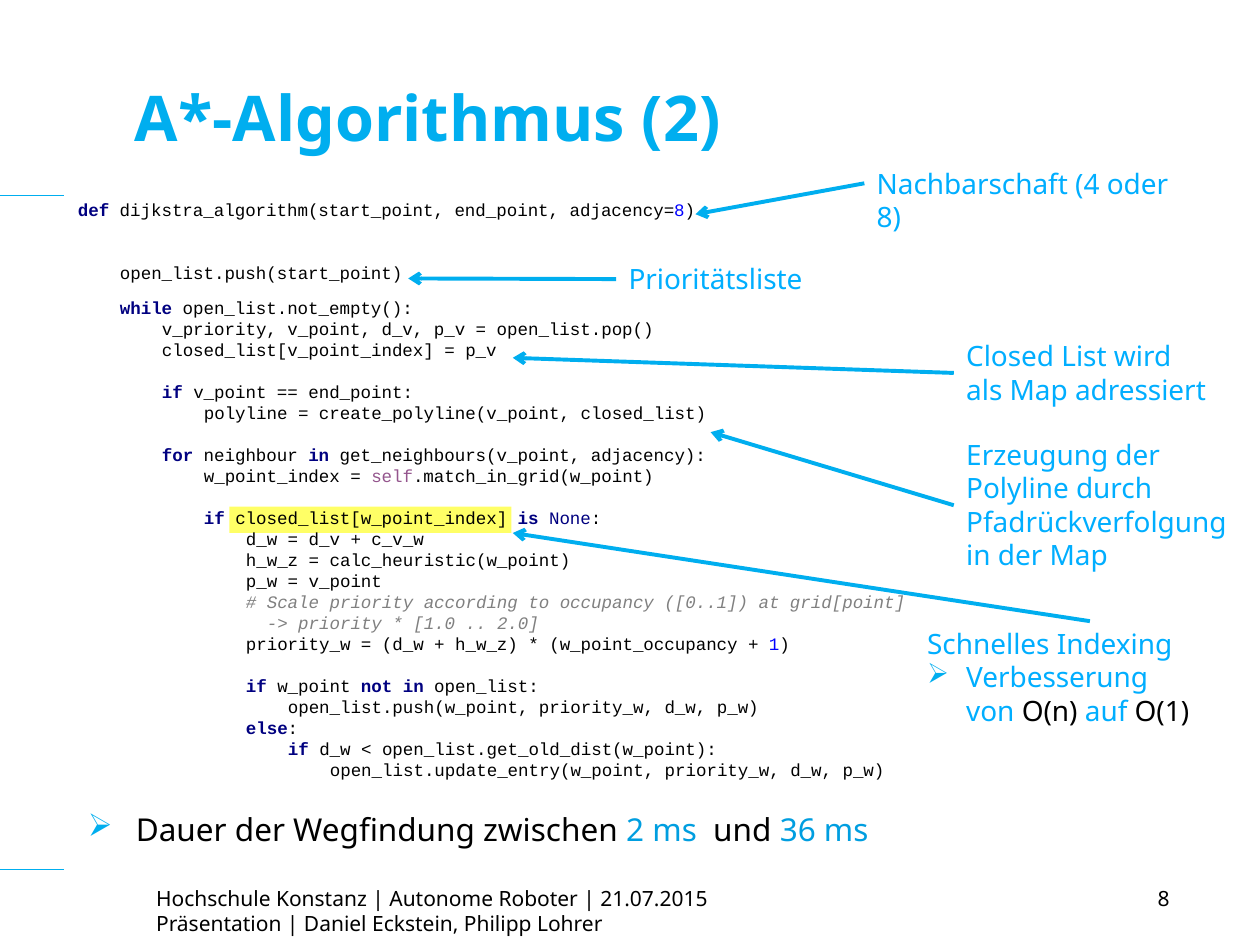
from lxml.etree import SubElement
from pptx import Presentation
from pptx.dml.color import RGBColor
from pptx.enum.shapes import MSO_CONNECTOR as Line, MSO_SHAPE as Preset
from pptx.enum.text import MSO_ANCHOR as Anchor, PP_ALIGN as Align
from pptx.oxml.ns import qn
from pptx.util import Inches, Pt

COLOURS = {
    "accent": "00AEEF", "callout": "00AEFF", "value": "009EE0",
    "text": "000000", "marker": "FFFF66", "keyword": "000080",
    "number": "0000FF", "self": "94558D", "comment": "808080",
}
# Marked text: `kword` sets "word" in the style of the letter k.
MARKS = {
    "k": ("keyword", True, False), "c": ("keyword", False, False),
    "n": ("number", False, False), "s": ("self", False, False),
    "r": ("comment", False, True), "v": ("value", False, False),
    "t": ("text", False, False),
}
GRID = 0.1  # inches per column and per row
CODE_SIZE = 10
CODE_PITCH = 12
INDENT = 4 * 0.6 * CODE_SIZE / 72  # four monospaced characters

# Indent level, space before in points, marked text
CODE = [
    (0, 0, "`kdef `dijkstra_algorithm(start_point, end_point, adjacency=`n8`)"),
    (1, 24, "open_list.push(start_point)"),
    (1, 8, "`kwhile `open_list.not_empty():"),
    (2, 0, "v_priority, v_point, d_v, p_v = open_list.pop()"),
    (2, 0, "closed_list[v_point_index] = p_v"),
    (2, 12, "`kif `v_point == end_point:"),
    (3, 0, "polyline = create_polyline(v_point, closed_list)"),
    (2, 12, "`kfor `neighbour `kin `get_neighbours(v_point, adjacency):"),
    (3, 0, "w_point_index = `sself`.match_in_grid(w_point)"),
    (3, 12, "`kif `closed_list[w_point_index] `kis ``cNone`:"),
    (4, 0, "d_w = d_v + c_v_w"),
    (4, 0, "h_w_z = calc_heuristic(w_point)"),
    (4, 0, "p_w = v_point"),
    (4, 0, "`r# Scale priority according to occupancy ([0..1]) at grid[point]`"),
    (4.5, 0, "`r-> priority * [1.0 .. 2.0]`"),
    (4, 0, "priority_w = (d_w + h_w_z) * (w_point_occupancy + `n1`)"),
    (4, 12, "`kif `w_point `knot in `open_list:"),
    (5, 0, "open_list.push(w_point, priority_w, d_w, p_w)"),
    (4, 0, "`kelse`:"),
    (5, 0, "`kif `d_w < open_list.get_old_dist(w_point):"),
    (6, 0, "open_list.update_entry(w_point, priority_w, d_w, p_w)"),
]

# Text, box (column, row, width, height), arrow target
CALLOUTS = [
    ("Nachbarschaft (4 oder 8)", (68.6, 12.7, 27.2, 3.7), (55.2, 17)),
    ("Prioritätsliste", (48.9, 20.3, 21.7, 3.7), (32.4, 22.1)),
    ("Closed List wird als Map adressiert", (75.7, 26.4, 21.7, 6.4), (40.7, 28.4)),
    ("Erzeugung der Polyline durch Pfadrückverfolgung in der Map",
     (75.7, 34.2, 23.2, 11.8), (56.4, 34.3)),
]


def cells(*counts):
    return [Inches(count * GRID) for count in counts]


def rgb(name):
    return RGBColor.from_string(COLOURS[name])


class SlideBuilder:
    font = "Noto Sans"
    code_font = "Courier New"

    def __init__(self, slide):
        self.slide = slide

    def text(self, box, lines, size, colour="text", bold=False, align=None,
             anchor=Anchor.TOP, font=None):
        """Add a text box with one paragraph for each marked line."""
        area = self.slide.shapes.add_textbox(*cells(*box))
        frame = area.text_frame
        frame.word_wrap = True
        frame.vertical_anchor = anchor
        for number, line in enumerate(lines):
            paragraph = frame.add_paragraph() if number else frame.paragraphs[0]
            paragraph.alignment = align
            for position, part in enumerate(line.split("`")):
                if not part:
                    continue
                style = (colour, bold, False)
                if position % 2:
                    style, part = MARKS[part[0]], part[1:]
                run = paragraph.add_run()
                run.text = part
                run.font.name = font or self.font
                run.font.size = Pt(size)
                run.font.color.rgb = rgb(style[0])
                run.font.bold, run.font.italic = style[1:]
        return area

    def code(self, box, listing):
        area = self.text(box, [line for _, _, line in listing], CODE_SIZE,
                         font=self.code_font)
        for paragraph, (level, before, _) in zip(area.text_frame.paragraphs, listing):
            paragraph.line_spacing = Pt(CODE_PITCH)
            paragraph.space_before = Pt(before)
            properties = paragraph._p.get_or_add_pPr()
            properties.set("marL", str(Inches(level * INDENT)))
            properties.set("indent", "0")

    def bullet(self, paragraph, hang):
        properties = paragraph._p.get_or_add_pPr()
        properties.set("marL", str(Inches(hang)))
        properties.set("indent", str(-Inches(hang)))
        tint = SubElement(properties, qn("a:buClr"))
        SubElement(tint, qn("a:srgbClr"), val=COLOURS["accent"])
        SubElement(properties, qn("a:buChar"), char="➢")

    def rule(self, start, end, width):
        rule = self.slide.shapes.add_connector(Line.STRAIGHT, *cells(*start, *end))
        rule.line.color.rgb = rgb("accent")
        rule.line.width = Pt(width)
        SubElement(rule._element.spPr, qn("a:effectLst"))
        return rule

    def arrow(self, start, end):
        arrow = self.rule(start, end, 2.25)
        SubElement(arrow.line._get_or_add_ln(), qn("a:tailEnd"), type="arrow")
        return arrow

    def marker(self, box):
        marker = self.slide.shapes.add_shape(Preset.RECTANGLE, *cells(*box))
        marker.shadow.inherit = False
        marker.fill.solid()
        marker.fill.fore_color.rgb = rgb("marker")
        marker.line.fill.background()

    def callout(self, words, box, target):
        left, top, _, height = box
        note = self.text(box, [words], 16, "callout")
        self.arrow((left, top + height / 2), target).begin_connect(note, 1)


def main():
    deck = Presentation()
    deck.slide_width, deck.slide_height = cells(100, 75)
    page = SlideBuilder(deck.slides.add_slide(deck.slide_layouts[6]))

    for row in (15.5, 69):
        page.rule((-0.4, row), (5.1, row), 0.75)
    page.arrow((86.5, 49.3), (40.7, 42.3))
    page.marker((18.2, 40.2, 22.4, 2.1))
    page.text((9.7, 3, 84.4, 12.5), ["A*-Algorithmus (2)"], 36, "accent",
              bold=True, anchor=Anchor.MIDDLE)
    page.text((11.4, 69.8, 66.2, 5.2),
              ["Hochschule Konstanz | Autonome Roboter | 21.07.2015",
               "Präsentation | Daniel Eckstein, Philipp Lohrer"], 12)
    page.text((80.7, 69.8, 13.1, 5.2), ["8"], 12, align=Align.RIGHT)

    for words, box, target in CALLOUTS:
        page.callout(words, box, target)

    duration = page.text((6, 63.8, 85, 3.7),
                         ["Dauer der Wegfindung zwischen `v2 ms`  und `v36 ms`"], 18)
    page.bullet(duration.text_frame.paragraphs[0], 0.38)
    indexing = page.text((72.6, 49.2, 23.2, 11.8),
                         ["Schnelles Indexing", "Verbesserung von `tO(n)` auf `tO(1)`"],
                         16, "callout")
    page.bullet(indexing.text_frame.paragraphs[1], 0.31)
    page.code((5.2, 15.3, 72.4, 47.1), CODE)
    deck.save("out.pptx")


if __name__ == "__main__":
    main()
